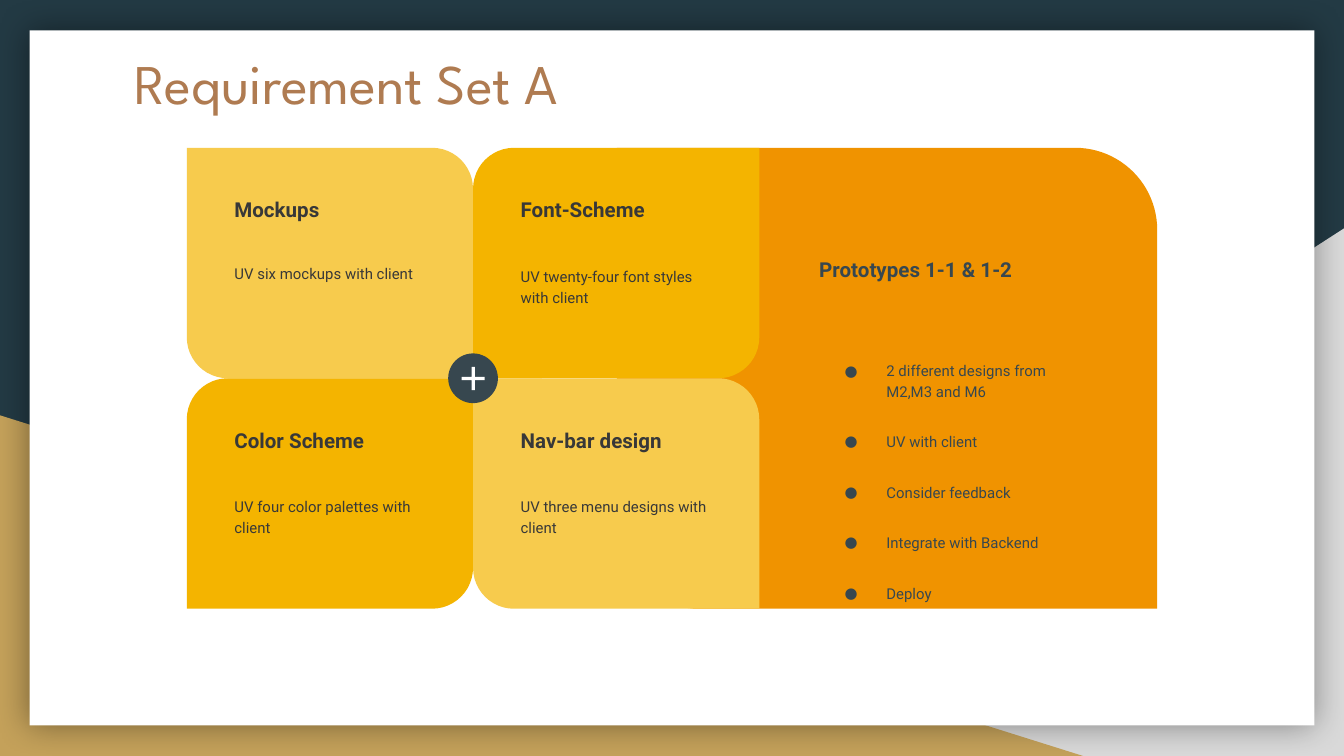
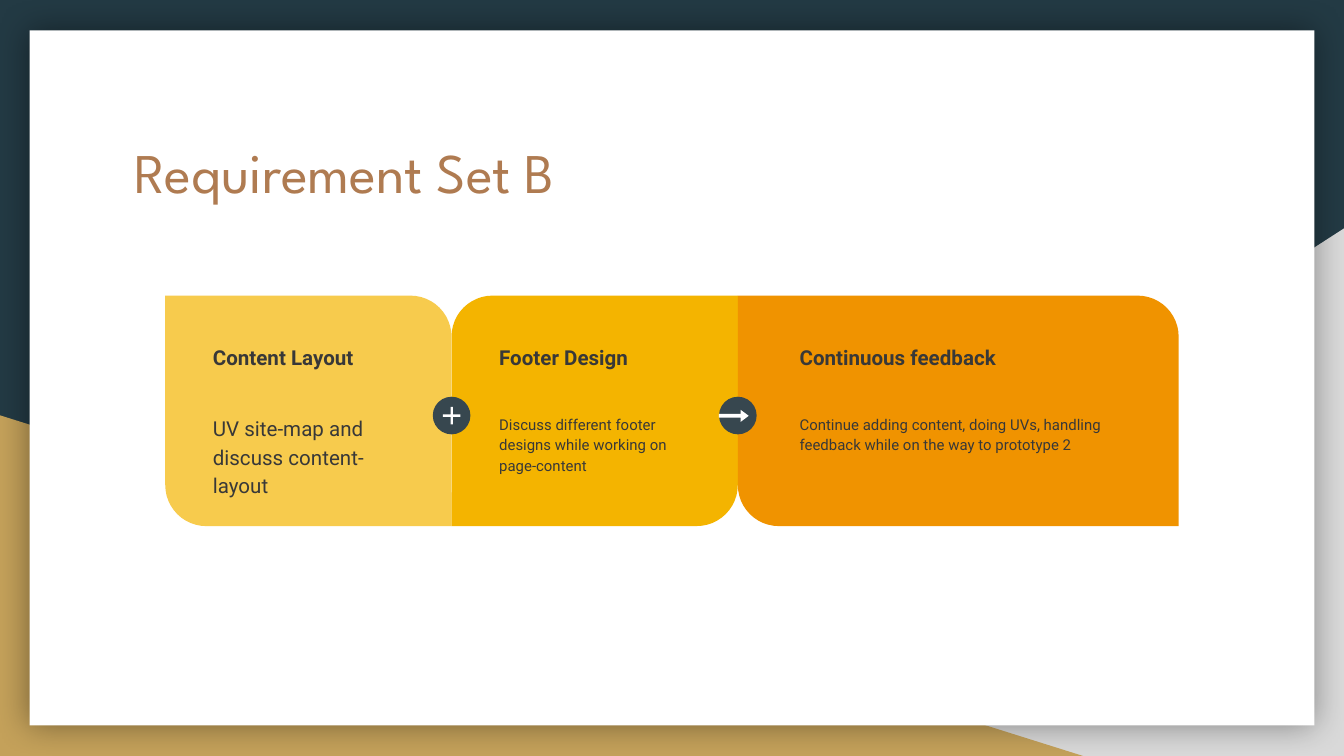
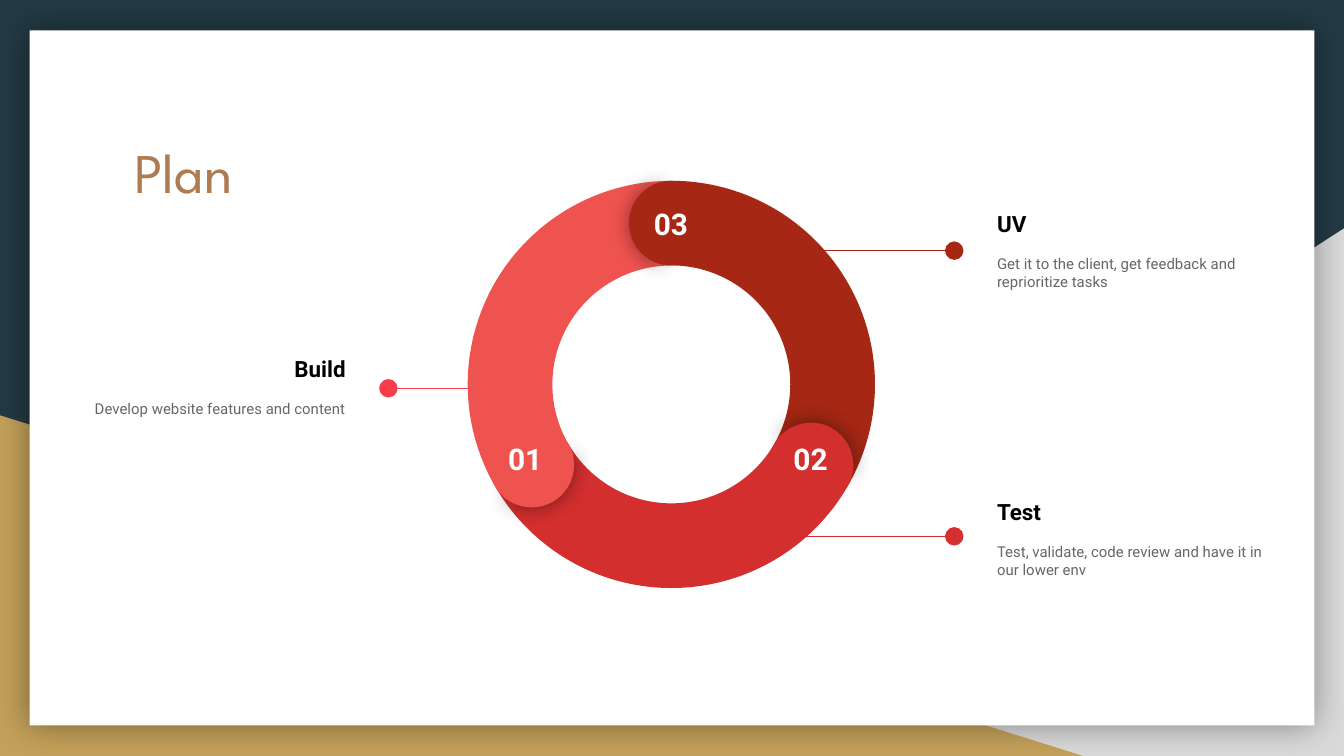
from collections import namedtuple
from math import cos, radians, sin

from lxml.etree import SubElement
from pptx import Presentation
from pptx.dml.color import RGBColor
from pptx.enum.shapes import MSO_CONNECTOR, MSO_SHAPE
from pptx.enum.text import MSO_ANCHOR, PP_ALIGN
from pptx.oxml.ns import qn
from pptx.util import Inches, Pt

COLORS = {
    "night": "233A44", "silver": "D9D9D9", "sand": "C4A15A", "white": "FFFFFF",
    "title": "AF7B51", "ink": "383838", "slate": "37474F", "black": "000000",
    "grey": "666666", "lemon": "F7CB4D", "amber": "F4B400", "orange": "F09300",
    "brick": "A52714", "red": "D32F2F", "coral": "EF5350", "rose": "F63D49",
}
COLS, ROWS = 100, 56.25
TITLE_FONT, BODY_FONT = "League Spartan", "Roboto"
CARD_W, CARD_H = 21.3, 17.15
CARD_TEXT = ((0.12, 0.16, 0.75, 0.29), (0.12, 0.45, 0.75, 0.33))
WIDE_TEXT = ((0.11, 0.16, 0.8, 0.29), (0.11, 0.45, 0.8, 0.33))
PANEL_TEXT = ((0.35, 0.21, 0.55, 0.19), (0.35, 0.43, 0.55, 0.36))

Box = namedtuple("Box", "x y w h")

prs = Presentation()
prs.slide_width, prs.slide_height = Inches(10), Inches(5.625)
COL, ROW = prs.slide_width / COLS, prs.slide_height / ROWS


def rgb(name):
    return RGBColor.from_string(COLORS[name])


def part(box, x, y, w, h):
    return Box(box.x + x * box.w, box.y + y * box.h, w * box.w, h * box.h)


def around(x, y, w, h):
    return Box(x - w / 2, y - h / 2, w, h)


def emu(box):
    return [round(v * u) for v, u in zip(box, (COL, ROW, COL, ROW))]


def angle(degrees):
    return degrees * 60000 / 100000


def add_shadow(sp, blur, alpha):
    effects = sp._element.spPr.find(qn("a:effectLst"))
    shadow = SubElement(effects, qn("a:outerShdw"), blurRad=str(Pt(blur)), dist="0",
                        dir="0", algn="ctr", rotWithShape="0")
    color = SubElement(shadow, qn("a:srgbClr"), val=COLORS["black"])
    SubElement(color, qn("a:alpha"), val=str(alpha * 1000))


def add_shape(s, kind, box, fill, adj=(), rot=0, flip=False, shadow=None):
    sp = s.shapes.add_shape(kind, *emu(box))
    sp.shadow.inherit = False
    sp.fill.solid()
    sp.fill.fore_color.rgb = rgb(fill)
    sp.line.fill.background()
    for i, value in enumerate(adj):
        sp.adjustments[i] = value
    sp.rotation = rot % 360
    if flip:
        sp._element.spPr.find(qn("a:xfrm")).set("flipH", "1")
    if shadow:
        add_shadow(sp, *shadow)
    return sp


def add_text_frame(s, box, anchor=MSO_ANCHOR.TOP):
    tf = s.shapes.add_textbox(*emu(box)).text_frame
    tf.word_wrap = True
    tf.vertical_anchor = anchor
    tf.margin_left = tf.margin_right = tf.margin_top = tf.margin_bottom = Inches(0.1)
    return tf


def add_run(p, text, size, color, bold=False, font=BODY_FONT):
    r = p.add_run()
    r.text = text
    r.font.name, r.font.size, r.font.bold = font, Pt(size), bold
    r.font.color.rgb = rgb(color)


def add_bullet(p, color, size):
    pPr = p._p.get_or_add_pPr()
    pPr.set("marL", str(Inches(0.5)))
    pPr.set("indent", str(Inches(-0.31)))
    SubElement(SubElement(pPr, qn("a:buClr")), qn("a:srgbClr"), val=COLORS[color])
    SubElement(pPr, qn("a:buSzPts"), val=str(size * 100))
    SubElement(pPr, qn("a:buFont"), typeface=BODY_FONT)
    SubElement(pPr, qn("a:buChar"), char="●")


def add_base(title, box):
    s = prs.slides.add_slide(prs.slide_layouts[6])
    s.background.fill.solid()
    s.background.fill.fore_color.rgb = rgb("night")
    add_shape(s, MSO_SHAPE.RIGHT_TRIANGLE, Box(39.2, 17, 60.8, 39.25), "silver", flip=True)
    add_shape(s, MSO_SHAPE.RIGHT_TRIANGLE, Box(0, 30.9, 80.6, 25.35), "sand")
    add_shape(s, MSO_SHAPE.RECTANGLE, Box(2.2, 2.27, 95.6, 51.7), "white", shadow=(18, 40))
    p = add_text_frame(s, box).paragraphs[0]
    add_run(p, title, 30, "title", font=TITLE_FONT)
    return s


def add_card(s, box, fill, heading, lines, falling=False, layout=CARD_TEXT,
             size=8, ink="ink", bullets=False):
    adj = (0.178, 0) if falling else (0, 0.178)
    add_shape(s, MSO_SHAPE.ROUND_2_DIAG_RECTANGLE, box, fill, adj)
    head, body = (part(box, *share) for share in layout)
    add_run(add_text_frame(s, head).paragraphs[0], heading, 11, ink, True)
    tf = add_text_frame(s, body)
    for i, text in enumerate(lines):
        p = tf.add_paragraph() if i else tf.paragraphs[0]
        p.line_spacing, p.space_after = 1.15, Pt(16)
        if bullets:
            add_bullet(p, ink, size)
        add_run(p, text, size, ink)


def add_badge(s, box, arrow=False):
    add_shape(s, MSO_SHAPE.OVAL, box, "slate")
    if arrow:
        add_shape(s, MSO_SHAPE.RIGHT_ARROW, part(box, 0, 0.35, 0.79, 0.32), "white", (0.32, 0.67))
    else:
        add_shape(s, MSO_SHAPE.MATH_PLUS, part(box, 0.19, 0.19, 0.63, 0.63), "white", (0.1,))


def add_callout(s, box, heading, text, color, reach, on_left=False, mid=0.5):
    tf = add_text_frame(s, box, MSO_ANCHOR.MIDDLE)
    p = tf.paragraphs[0]
    add_run(p, heading, 12, "black", True)
    q = tf.add_paragraph()
    q.space_before, q.space_after = Pt(9.4), Pt(16)
    add_run(q, text, 8, "grey")
    p.alignment = q.alignment = PP_ALIGN.RIGHT if on_left else PP_ALIGN.LEFT

    dot = box.x + box.w + 2.2 if on_left else box.x - 2.2
    start = dot + reach if on_left else dot - reach
    y = round((box.y + mid * box.h) * ROW)
    line = s.shapes.add_connector(MSO_CONNECTOR.STRAIGHT, round(start * COL), y,
                                  round(dot * COL), y)
    line.line.color.rgb = rgb(color)
    line.line.width = Pt(0.75)
    SubElement(line.line._get_or_add_ln(), qn("a:tailEnd"), type="oval", w="lg", len="lg")
    SubElement(line._element.spPr, qn("a:effectLst"))


def add_ring(s, box, segments):
    cx, cy = box.x + box.w / 2, box.y + box.h / 2
    radius, cap = 0.396 * box.w, 0.208 * box.w
    for _, color, turn, _ in segments:
        add_shape(s, MSO_SHAPE.BLOCK_ARC, box, color,
                  (angle(210), angle(330), 0.208), turn + 60)
    labels = []
    for label, color, turn, (dx, dy) in segments:
        x = cx + radius * sin(radians(turn))
        y = cy - radius * cos(radians(turn))
        spot = around(x, y, cap, cap)
        add_shape(s, MSO_SHAPE.PIE, spot, color, (angle(103), angle(250)),
                  turn + 0.7, shadow=(11.2, 43))
        add_shape(s, MSO_SHAPE.PIE, spot, color, (angle(67), angle(286)), turn + 180)
        labels.append((label, around(x + dx, y + dy, 5.6, 2.9)))
    for label, spot in labels:
        p = add_text_frame(s, spot).paragraphs[0]
        p.alignment = PP_ALIGN.CENTER
        add_run(p, label, 16, "white", True)


def build_set_a():
    s = add_base("Requirement Set A", Box(9, 2.6, 82.1, 10.4))
    left, top = 13.9, 11
    add_card(s, Box(45.9, top, 40.2, 2 * CARD_H), "orange", "Prototypes 1-1 & 1-2",
             ["2 different designs from M2,M3 and M6", "UV with client", "Consider feedback",
              "Integrate with Backend", "Deploy"],
             layout=PANEL_TEXT, ink="slate", bullets=True)
    cards = [
        ("Mockups", "UV six mockups with client"),
        ("Font-Scheme", "UV twenty-four font styles with client"),
        ("Color Scheme", "UV four color palettes with client"),
        ("Nav-bar design", "UV three menu designs with client"),
    ]
    for i, (heading, text) in enumerate(cards):
        row, col = divmod(i, 2)
        odd = row != col
        box = Box(left + col * CARD_W, top + row * CARD_H, CARD_W, CARD_H)
        add_card(s, box, "amber" if odd else "lemon", heading, [text], falling=odd)
    add_badge(s, around(left + CARD_W, top + CARD_H, 3.7, 3.7))


def build_set_b():
    s = add_base("Requirement Set B", Box(9, 9.2, 82.1, 10.4))
    x, top = 12.3, 22
    cards = [
        (CARD_W, "lemon", "Content Layout", "UV site-map and discuss content-layout",
         CARD_TEXT, 11),
        (CARD_W, "amber", "Footer Design",
         "Discuss different footer designs while working on page-content", CARD_TEXT, 8),
        (32.8, "orange", "Continuous feedback",
         "Continue adding content, doing UVs, handling feedback while on the way to prototype 2",
         WIDE_TEXT, 8),
    ]
    seams = []
    for i, (w, fill, heading, text, layout, size) in enumerate(cards):
        add_card(s, Box(x, top, w, CARD_H), fill, heading, [text], i == 1, layout, size)
        x += w
        seams.append(x)
    for i, seam in enumerate(seams[:-1]):
        add_badge(s, around(seam, top + 0.52 * CARD_H, 2.8, 2.8), arrow=i == 1)


def build_plan():
    s = add_base("Plan", Box(9, 9.2, 82.1, 6.8))
    add_callout(s, Box(3.5, 21.7, 23.2, 14.1), "Build", "Develop website features and content",
                "rose", 6.9, on_left=True, mid=0.51)
    add_callout(s, Box(73.2, 11.6, 23.2, 14.1), "UV",
                "Get it to the client, get feedback and reprioritize tasks", "brick", 14)
    add_callout(s, Box(73.2, 33, 23.2, 14.1), "Test",
                "Test, validate, code review and have it in our lower env", "red", 14, mid=0.49)
    add_ring(s, around(49.95, 28.6, 30.3, 30.3), [
        ("03 ", "brick", 0, (0.25, -0.85)),
        ("02 ", "red", 120, (0.25, -1.35)),
        ("01 ", "coral", 240, (-0.2, -1.35)),
    ])


if __name__ == "__main__":
    build_set_a()
    build_set_b()
    build_plan()
    prs.save("out.pptx")
